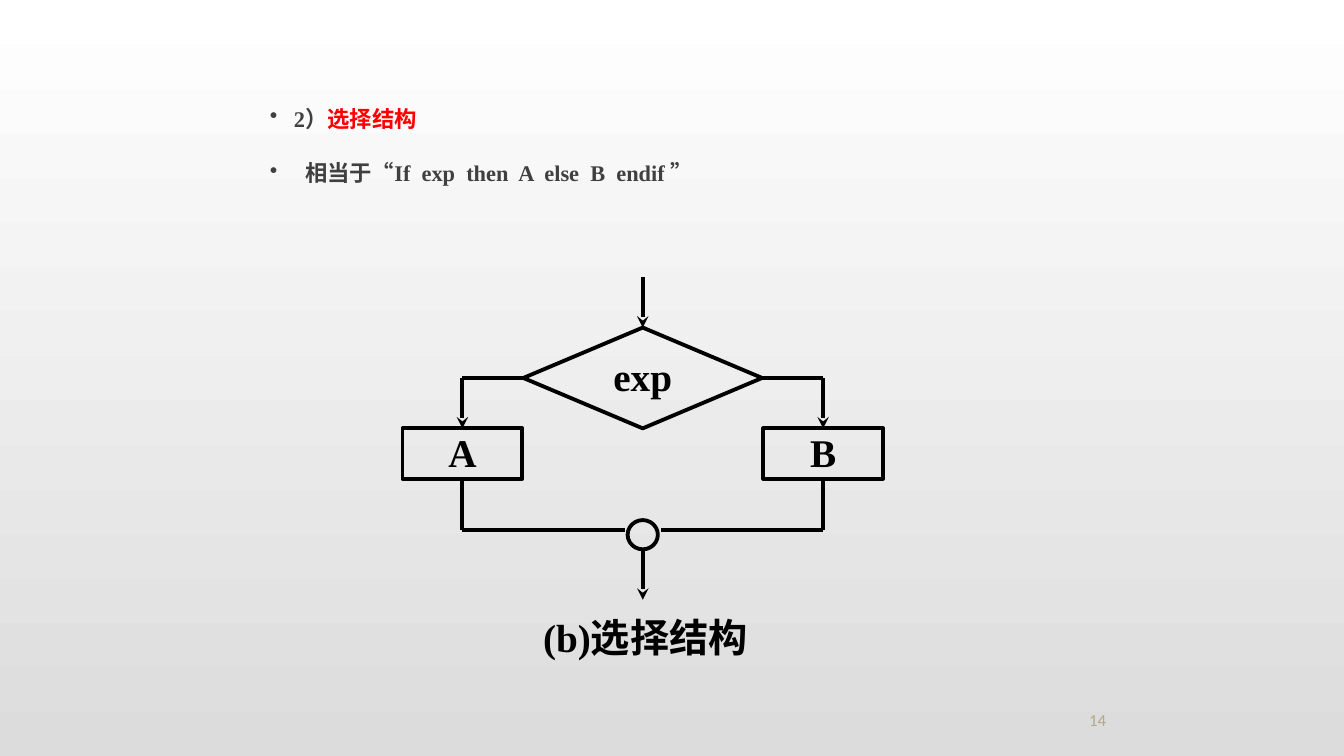
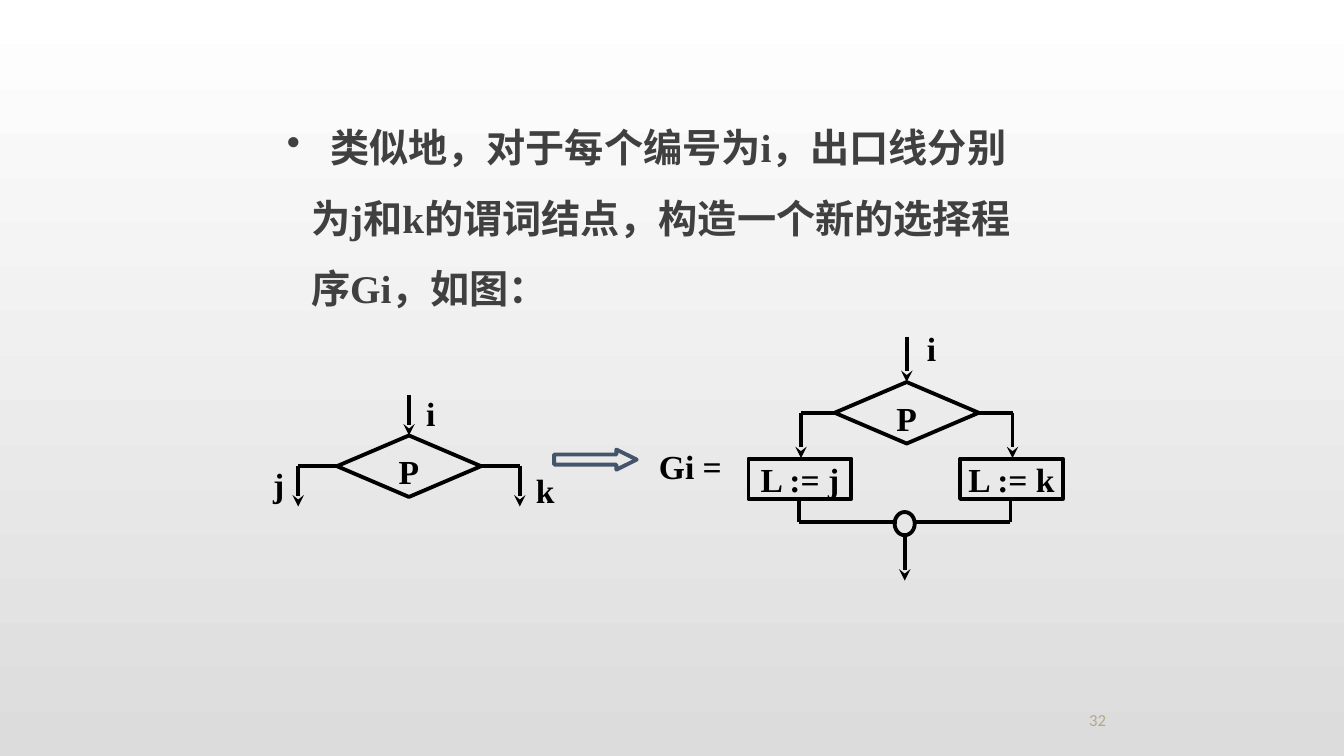
from lxml.etree import SubElement as Sub
from pptx import Presentation
from pptx.dml.color import RGBColor as Rgb
from pptx.enum.shapes import MSO_CONNECTOR as Conn, MSO_SHAPE as Shp
from pptx.enum.text import MSO_ANCHOR as Anchor, PP_ALIGN as Align
from pptx.oxml.ns import qn
from pptx.util import Inches, Pt

HUES = {"ink": "000000", "body": "404040", "red": "FF0000", "slate": "44546A",
        "page": "B5A788", "top": "FFFFFF", "base": "DCDCDC"}
SERIF = {"name": "Times New Roman", "bold": True}
PAGE = {"name": "Calibri", "bold": False}
PARA = {"line_spacing": 1.5, "space_after": Pt(10)}
FLUSH = {"margin_" + side: 0 for side in ("left", "top", "right", "bottom")}
HANG = 0.24


def apply(obj, vals):
    for key, val in vals.items():
        setattr(obj, key, val)


def rgb(hue):
    return Rgb.from_string(HUES[hue])


class Deck:
    def __init__(self):
        self.prs = Presentation()
        apply(self.prs, {"slide_width": Inches(13.34), "slide_height": Inches(7.5)})
        fill = self.prs.slide_master.background.fill
        fill.gradient()
        fill.gradient_angle = 270
        for stop, hue in zip(fill.gradient_stops, ("top", "base")):
            stop.color.rgb = rgb(hue)

    def page(self, num):
        self.slide = self.prs.slides.add_slide(self.prs.slide_layouts[6])
        self.text((9.42, 6.94, 2.95, 0.35), str(num), 12, Align.CENTER, "page", PAGE,
                  {"vertical_anchor": Anchor.BOTTOM})

    def run(self, para, text, size, hue, face=SERIF):
        run = para.add_run()
        run.text = text
        apply(run.font, {**face, "size": Pt(size)})
        run.font.color.rgb = rgb(hue)

    def frame(self, box, form):
        shape = self.slide.shapes.add_textbox(*map(Inches, box))
        apply(shape.text_frame, {"word_wrap": True, **form})
        return shape.text_frame

    def text(self, box, text, size, align=Align.LEFT, hue="ink", face=SERIF, form=FLUSH):
        para = self.frame(box, form).paragraphs[0]
        para.alignment = align
        self.run(para, text, size, hue, face)

    def list(self, box, size, items):
        """Each item holds its hanging indent, its tab stops and its runs."""
        frame = self.frame(box, {})
        for n, (hang, tabs, runs) in enumerate(items):
            para = frame.add_paragraph() if n else frame.paragraphs[0]
            prop = para._p.get_or_add_pPr()
            prop.set("marL", str(Inches(hang)))
            prop.set("indent", str(-Inches(hang)))
            tint = Sub(prop, qn("a:buClr"))
            Sub(tint, qn("a:srgbClr"), val=HUES["body"])
            Sub(prop, qn("a:buChar"), char="•")
            if tabs:
                stops = Sub(prop, qn("a:tabLst"))
                for tab in tabs:
                    Sub(stops, qn("a:tab"), pos=str(Inches(tab)), algn="l")
            apply(para, PARA)
            for text, hue in runs:
                self.run(para, text, size, hue)

    def shape(self, kind, box, text="", size=24, hue="ink"):
        shape = self.slide.shapes.add_shape(kind, *map(Inches, box))
        shape.shadow.inherit = False
        shape.fill.background()
        shape.line.color.rgb = rgb(hue)
        shape.line.width = Pt(2.75)
        if text:
            frame = shape.text_frame
            apply(frame, {"word_wrap": True, "vertical_anchor": Anchor.TOP, **FLUSH})
            frame.paragraphs[0].alignment = Align.CENTER
            self.run(frame.paragraphs[0], text, size, hue)
        return shape

    def line(self, x1, y1, x2, y2, arrow=False):
        line = self.slide.shapes.add_connector(Conn.STRAIGHT, *map(Inches, (x1, y1, x2, y2)))
        line.line.color.rgb = rgb("ink")
        line.line.width = Pt(2.75)
        if arrow:
            Sub(line.line._get_or_add_ln(), qn("a:tailEnd"), type="stealth")
        Sub(line._element.spPr, qn("a:effectLst"))

    def fork(self, mid, top, wide, high, reach, drop, text, size):
        """Decision with its entry arrow and two branches."""
        self.shape(Shp.FLOWCHART_DECISION, (mid - wide / 2, top, wide, high), text, size)
        self.line(mid, top - drop, mid, top, True)
        y = top + high / 2
        for side in (-1, 1):
            end = mid + side * reach
            self.line(mid + side * wide / 2, y, end, y)
            self.line(end, y, end, y + drop, True)

    def steps(self, mid, top, wide, high, reach, names, size):
        for side, name in zip((-1, 1), names):
            self.shape(Shp.RECTANGLE, (mid + side * reach - wide / 2, top, wide, high), name, size)

    def join(self, mid, top, y, reach, gap, wide, high, drop):
        """Two branches meeting in a ring, with the exit arrow."""
        for side in (-1, 1):
            end = mid + side * reach
            self.line(end, top, end, y)
            self.line(end, y, mid + side * gap, y)
        ring = y - 0.1
        self.shape(Shp.OVAL, (mid - wide / 2, ring, wide, high))
        self.line(mid, ring + high, mid, ring + high + drop, True)


def main():
    deck = Deck()

    # Selection structure
    deck.page(14)
    deck.list((2.58, 0.86, 8.17, 1.79), 16, [
        (HANG, (), [("2）", "body"), ("选择结构", "red")]),
        (0.35, (), [("相当于“If  exp  then  A  else  B  endif ”", "body")])])
    mid, reach = 6.38, 1.79
    deck.steps(mid, 4.25, 1.19, 0.5, reach, "AB", 28)
    deck.fork(mid, 3.25, 2.37, 1, reach, 0.5, "exp", 28)
    deck.join(mid, 4.76, 5.26, reach, 0.18, 0.3, 0.29, 0.5)
    deck.text((5.07, 6.08, 2.67, 0.5), "(b)选择结构", 28, Align.CENTER)

    # Predicate node and its new program
    deck.page(32)
    deck.list((2.75, 0.94, 7.67, 2.42), 28, [
        (HANG, (0.19, HANG + 0.19), [
            ("\t类似地，对于每个编号为i，出口线分别为j和k的谓词结点，"
             "构造一个新的选择程序Gi，如图：", "body")])])
    deck.fork(4.06, 4.32, 1.43, 0.61, 1.1, 0.4, "P", 24)
    for x, y, wide, name in ((2.71, 4.6, 0.61, "j"), (5.32, 4.66, 0.61, "k"),
                             (4.23, 3.9, 0.61, "i"), (9.2, 3.25, 0.61, "i"),
                             (6.54, 4.42, 0.89, "Gi =")):
        deck.text((x, y, wide, 0.4), name, 24)
    arrow = deck.shape(Shp.RIGHT_ARROW, (5.5, 4.46, 0.82, 0.2), hue="slate")
    arrow.adjustments[1] = 1.01
    mid, reach = 8.99, 1.05
    deck.fork(mid + 0.01, 3.79, 1.43, 0.61, reach, 0.45, "P", 24)
    deck.steps(mid, 4.55, 1.02, 0.4, reach, ("L := j", "L := k"), 24)
    deck.join(mid - 0.01, 4.96, 5.18, reach, 0.08, 0.2, 0.23, 0.45)

    deck.prs.save("out.pptx")


if __name__ == "__main__":
    main()
